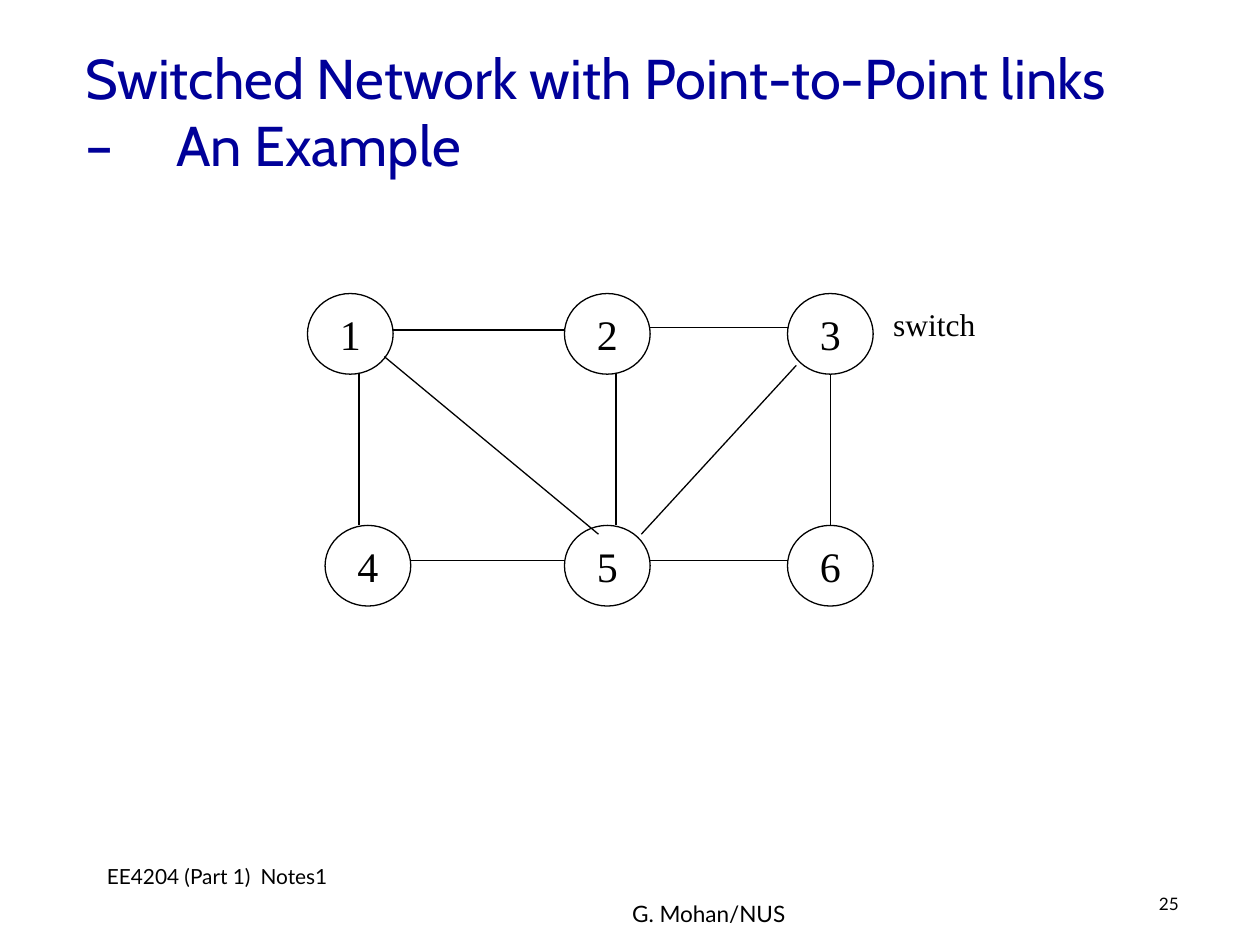
from lxml import etree
from pptx import Presentation
from pptx.dml.color import RGBColor
from pptx.enum.shapes import MSO_CONNECTOR, MSO_SHAPE
from pptx.enum.text import MSO_ANCHOR, PP_ALIGN
from pptx.oxml.ns import qn
from pptx.util import Inches, Pt

BLACK = RGBColor(0x00, 0x00, 0x00)
NAVY = RGBColor(0x00, 0x00, 0x99)
LEFT, CENTER, RIGHT = PP_ALIGN.LEFT, PP_ALIGN.CENTER, PP_ALIGN.RIGHT
TOP, MIDDLE = MSO_ANCHOR.TOP, MSO_ANCHOR.MIDDLE
OVAL, STRAIGHT = MSO_SHAPE.OVAL, MSO_CONNECTOR.STRAIGHT
SERIF = "Times New Roman"

presentation = Presentation()
presentation.slide_width, presentation.slide_height = Inches(10), Inches(7.5)
slide = presentation.slides.add_slide(presentation.slide_layouts[6])


def write(shape, text, font_name, size, color=BLACK, align=LEFT, anchor=TOP,
          spacing=1.0, tab_stop=None, wrap=True):
    """Fill a shape with one styled paragraph; tab_stop is in inches."""
    frame = shape.text_frame
    frame.word_wrap = wrap
    frame.vertical_anchor = anchor
    paragraph = frame.paragraphs[0]
    paragraph.text = text
    paragraph.alignment = align
    paragraph.line_spacing = spacing
    if tab_stop:
        tabs = etree.SubElement(paragraph._p.get_or_add_pPr(), qn("a:tabLst"))
        etree.SubElement(tabs, qn("a:tab"), pos=str(Inches(tab_stop)), algn="l")
    font = paragraph.runs[0].font
    font.name, font.size, font.color.rgb = font_name, Pt(size), color


def add_link(start_x, start_y, end_x, end_y):
    link = slide.shapes.add_connector(
        STRAIGHT, *map(Inches, (start_x, start_y, end_x, end_y)))
    link.line.color.rgb = BLACK
    link.line.width = Pt(0.75)
    etree.SubElement(link._element.spPr, qn("a:effectLst"))


# Title, footers and switch label
texts = [
    ((0.58, 0.25, 8.5, 1.25), "Switched Network with Point-to-Point links –\tAn Example",
     "Cabin", 32, dict(color=NAVY, anchor=MIDDLE, tab_stop=0.72)),
    ((0.75, 6.83, 2.08, 0.5), "EE4204 (Part 1)\tNotes1",
     "Lato", 11.9, dict(spacing=0.9, tab_stop=1.22)),
    ((4.48, 7.12, 1.85, 0.32), "G. Mohan/NUS",
     "Lato", 12.9, dict(align=RIGHT, spacing=0.9)),
    ((9.1, 7.07, 0.74, 0.3), "25", "Lato", 9.8, dict(spacing=0.8)),
    ((6.99, 2.37, 1.42, 0.4), "switch", SERIF, 18, {}),
]
for box, text, font_name, size, options in texts:
    write(slide.shapes.add_textbox(*map(Inches, box)), text, font_name, size, **options)

# Switches: two rows of three, the fourth set slightly to the right
NODE_WIDTH, NODE_HEIGHT = 0.68, 0.64
ROW_TOPS = (2.33, 4.17)
ROW_LEFTS = ((2.44, 4.48, 6.25), (2.58, 4.48, 6.25))
number = 0
for top, lefts in zip(ROW_TOPS, ROW_LEFTS):
    for left in lefts:
        number += 1
        node = slide.shapes.add_shape(
            OVAL, *map(Inches, (left, top, NODE_WIDTH, NODE_HEIGHT)))
        node.shadow.inherit = False
        node.fill.background()
        node.line.color.rgb = BLACK
        node.line.width = Pt(0.75)
        write(node, str(number), SERIF, 24, align=CENTER, anchor=MIDDLE, wrap=False)

# Horizontal links run from each switch's right edge to the next one's left edge
LINK_HEIGHTS = ((2.62, 2.6), (4.45, 4.45))
for lefts, heights in zip(ROW_LEFTS, LINK_HEIGHTS):
    for left, next_left, height in zip(lefts, lefts[1:], heights):
        add_link(left + NODE_WIDTH, height, next_left, height)

# Vertical links join the two rows
for link_x in (2.85, 4.89, 6.59):
    add_link(link_x, ROW_TOPS[0] + NODE_HEIGHT, link_x, ROW_TOPS[1])

# Diagonal links meet at switch 5
add_link(5.09, 4.24, 6.32, 2.9)
add_link(3.05, 2.83, 4.75, 4.24)

presentation.save("out.pptx")
